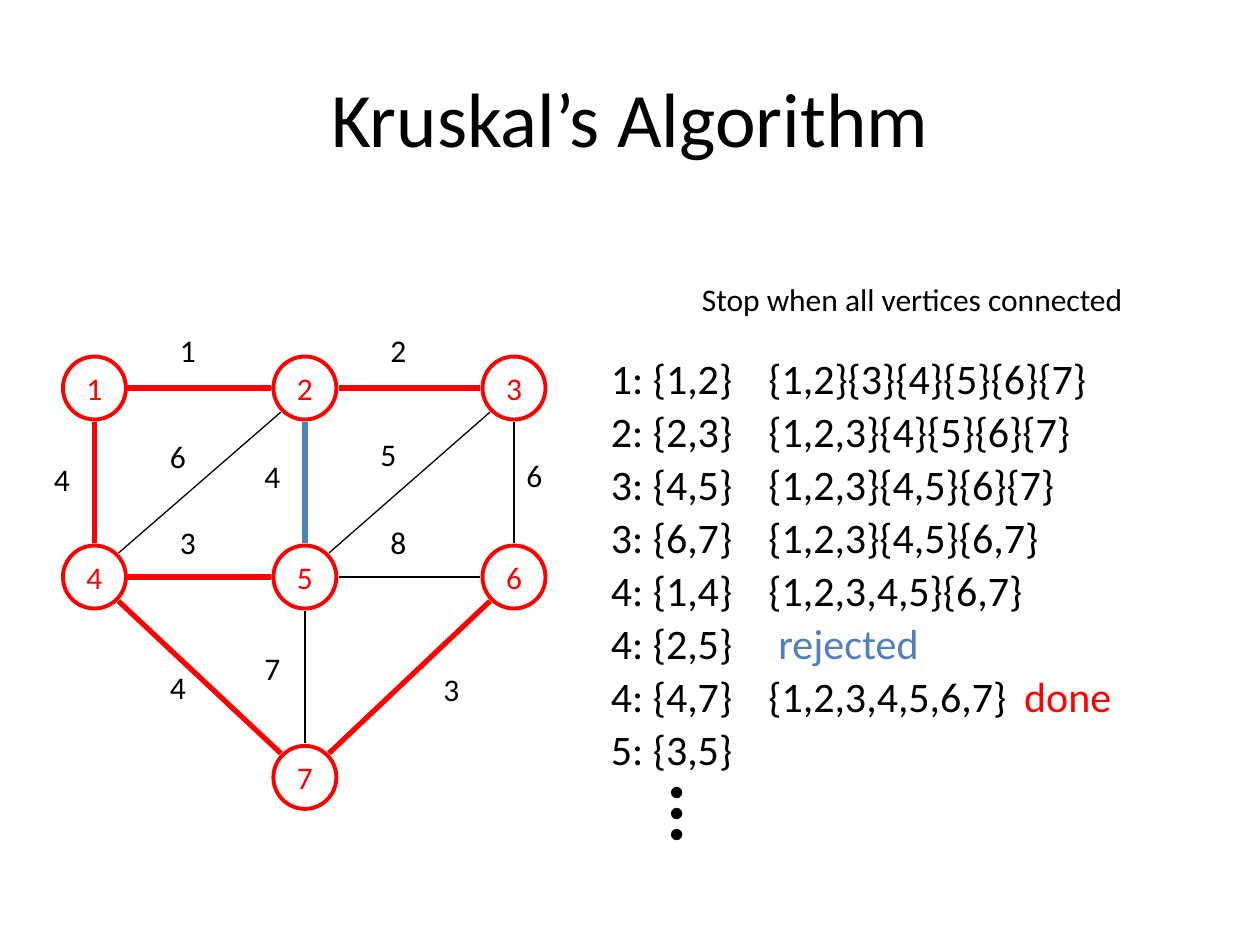
from math import sqrt
from lxml.etree import SubElement
from pptx import Presentation
from pptx.dml.color import RGBColor
from pptx.enum.shapes import MSO_CONNECTOR as Line, MSO_SHAPE as Shape
from pptx.enum.text import MSO_ANCHOR as Anchor, PP_ALIGN as Align
from pptx.oxml.ns import qn
from pptx.util import Inches, Pt

RED, BLUE, BLACK = "FF0000", "4F81BD", "000000"

# Content: vertices as number: (column, row)
COLS, ROWS = (0.75, 2.42, 4.08), (3.08, 4.58, 6.17)
NODES = {1: (0, 0), 2: (1, 0), 3: (2, 0), 4: (0, 1), 5: (1, 1), 6: (2, 1),
         7: (1, 2)}
# Edges: from, to, weight, colour, left and top of the weight label
EDGES = [
    (1, 2, 1, RED, 1.33, 2.58), (2, 3, 2, RED, 3, 2.58),
    (4, 5, 3, RED, 1.33, 4.1), (5, 6, 8, BLACK, 3, 4.1),
    (1, 4, 4, RED, 0.33, 3.6), (4, 2, 6, BLACK, 1.25, 3.42),
    (2, 5, 4, BLUE, 2, 3.58), (5, 3, 5, BLACK, 2.92, 3.4),
    (3, 6, 6, BLACK, 4.08, 3.57), (4, 7, 4, RED, 1.25, 5.25),
    (5, 7, 7, BLACK, 2, 5.1), (6, 7, 3, RED, 3.42, 5.27),
]
STEPS = ["1: {1,2}", "2: {2,3}", "3: {4,5}", "3: {6,7}", "4: {1,4}",
         "4: {2,5}", "4: {4,7}", "5: {3,5}"]
SETS = ["{1,2}{3}{4}{5}{6}{7}", "{1,2,3}{4}{5}{6}{7}", "{1,2,3}{4,5}{6}{7}",
        "{1,2,3}{4,5}{6,7}", "{1,2,3,4,5}{6,7}", "rejected",
        "{1,2,3,4,5,6,7}"]
SIZE, GAP = 0.5, 0.02
TOP, PITCH = 2.75, 0.42


def rgb(code):
    return RGBColor.from_string(code)


def style(para, size, color=BLACK):
    font = para.font
    font.name, font.size, font.color.rgb = "Calibri", Pt(size), rgb(color)


def add_text(text, x, y, w, h, size, color=BLACK):
    box = slide.shapes.add_textbox(Inches(x), Inches(y), Inches(w), Inches(h))
    box.text_frame.word_wrap = True
    para = box.text_frame.paragraphs[0]
    para.text = text
    style(para, size, color)
    return box


def add_circle(x, y, size, color, width):
    dot = slide.shapes.add_shape(Shape.OVAL, Inches(x - size / 2),
                                 Inches(y - size / 2), Inches(size), Inches(size))
    dot.shadow.inherit = False
    dot.line.color.rgb, dot.line.width = rgb(color), Pt(width)
    return dot


def center(node):
    col, row = NODES[node]
    return COLS[col], ROWS[row]


def add_edge(start, end, color):
    (x1, y1), (x2, y2) = center(start), center(end)
    sx, sy = (x2 > x1) - (x2 < x1), (y2 > y1) - (y2 < y1)
    # Leave each circle straight or at 45 degrees
    reach = (SIZE / 2 + GAP) / sqrt(sx * sx + sy * sy)
    edge = slide.shapes.add_connector(
        Line.STRAIGHT, Inches(x1 + sx * reach), Inches(y1 + sy * reach),
        Inches(x2 - sx * reach), Inches(y2 - sy * reach))
    edge.line.color.rgb = rgb(color)
    edge.line.width = Pt(0.75 if color == BLACK else 3)
    SubElement(edge._element.spPr, qn("a:effectLst"))


deck = Presentation()
deck.slide_width, deck.slide_height = Inches(10), Inches(7.5)
slide = deck.slides.add_slide(deck.slide_layouts[5])

# Title
title = slide.shapes.title
title.left, title.top = Inches(0.5), Inches(0.3)
title.width, title.height = Inches(9), Inches(1.25)
title.text_frame.text = "Kruskal’s Algorithm"
style(title.text_frame.paragraphs[0], 44)

# Graph
for start, end, weight, color, x, y in EDGES:
    add_edge(start, end, color)
    add_text(str(weight), x, y, 0.5, 0.57, 18)
for node in NODES:
    ring = add_circle(*center(node), SIZE, RED, 2.25)
    ring.fill.background()
    frame = ring.text_frame
    frame.word_wrap, frame.vertical_anchor = False, Anchor.MIDDLE
    para = frame.paragraphs[0]
    para.text, para.alignment = str(node), Align.CENTER
    style(para, 18, RED)

# Steps and the sets after each one
for i, step in enumerate(STEPS):
    add_text(step, 4.75, TOP + i * PITCH, 1.67, 0.5, 24)
for i, sets in enumerate(SETS):
    out = sets == "rejected"
    box = add_text(sets, 6.08 if out else 6, TOP + i * PITCH, 3.67, 0.5, 24,
                   BLUE if out else BLACK)

# "done" follows the last sets at a tab stop
para = box.text_frame.paragraphs[0]
tabs = SubElement(para._p.get_or_add_pPr(), qn("a:tabLst"))
SubElement(tabs, qn("a:tab"), pos=str(Inches(2.03)), algn="l")
para._p.pPr.insert(0, tabs)
run = para.add_run()
run.text = "\tdone"
run.font.color.rgb = rgb(RED)

# Vertical ellipsis
for i in range(3):
    dot = add_circle(5.37, 6.29 + i / 6, 0.08, BLACK, 0.75)
    dot.fill.solid()
    dot.fill.fore_color.rgb = rgb(BLACK)

# Stop rule
note = add_text("Stop when all vertices connected", 4.7, 2.08, 5.08, 0.58, 18)
note.text_frame.word_wrap = False
note.text_frame.vertical_anchor = Anchor.MIDDLE
note.text_frame.paragraphs[0].alignment = Align.CENTER

deck.save("out.pptx")
